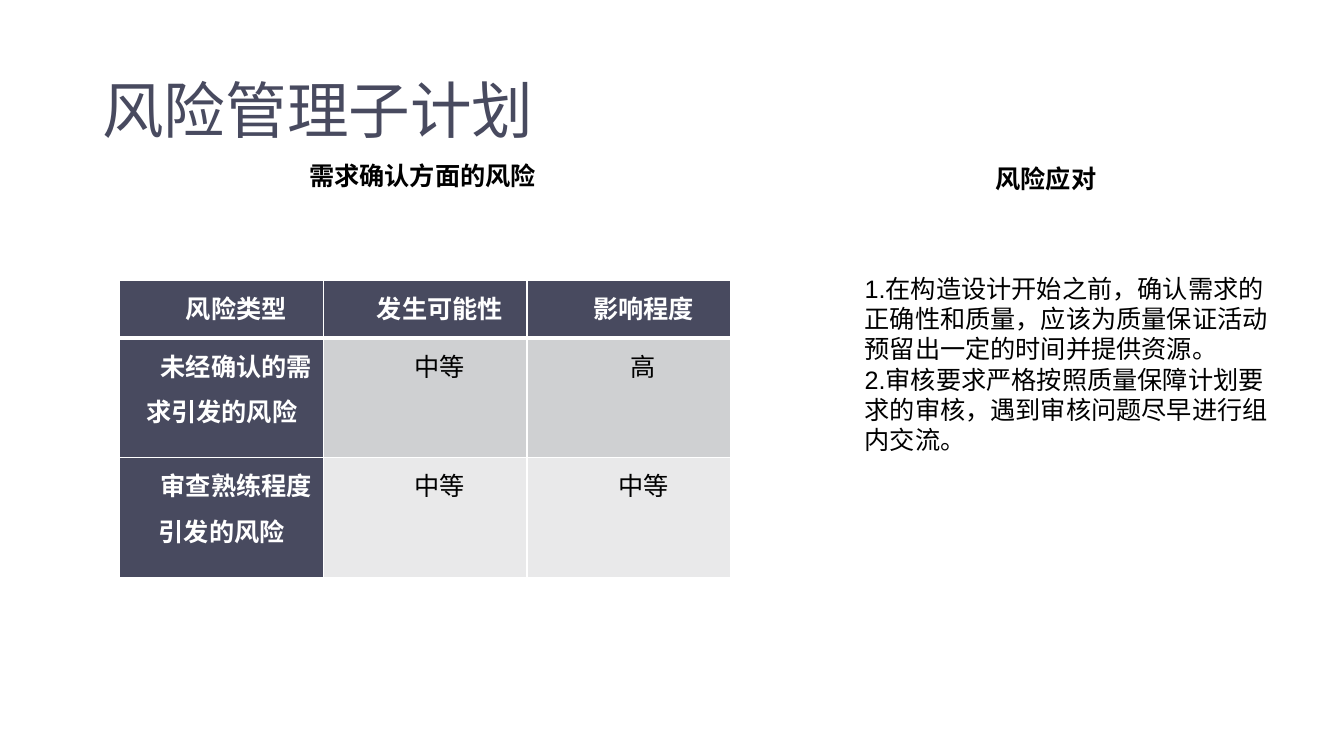
import lxml.etree
import pptx
import pptx.dml.color
import pptx.enum.text
import pptx.oxml.ns
import pptx.util

Cm = pptx.util.Cm
Pt = pptx.util.Pt
ALIGN = pptx.enum.text.PP_ALIGN
ANCHOR = pptx.enum.text.MSO_ANCHOR
FIT = pptx.enum.text.MSO_AUTO_SIZE

NAVY, WHITE, BLACK = "484A5F", "FFFFFF", "000000"
BANDS = ["CFD0D2", "E9E9EA"]
RISKS = [
    ["风险类型", "发生可能性", "影响程度"],
    ["未经确认的需求引发的风险", "中等", "高"],
    ["审查熟练程度引发的风险", "中等", "中等"],
]
STEPS = [
    "1.在构造设计开始之前，确认需求的正确性和质量，应该为质量保证活动预留出一定的时间并提供资源。",
    "2.审核要求严格按照质量保障计划要求的审核，遇到审核问题尽早进行组内交流。",
]


def color(code):
    """Turn a hex string into a colour."""
    return pptx.dml.color.RGBColor.from_string(code)


def style(para, size, code, bold=False):
    """Format every run of a paragraph."""
    for run in para.runs:
        run.font.name = "Arial"
        run.font.size = Pt(size)
        run.font.bold = bold
        run.font.color.rgb = color(code)


def add_text(slide, box, lines, size=18, code=BLACK, bold=False, wrap=True):
    """Place lines of text in a box and return its frame."""
    frame = slide.shapes.add_textbox(*map(Cm, box)).text_frame
    frame.word_wrap = wrap
    frame.text = "\n".join(lines)
    for para in frame.paragraphs:
        style(para, size, code, bold)
    return frame


def add_title(slide, box):
    """Place the slide title."""
    frame = add_text(slide, box, ["风险管理子计划"], 44, NAVY)
    frame.vertical_anchor = ANCHOR.MIDDLE
    frame.paragraphs[0].line_spacing = 0.9


def set_edge(cell, side, width):
    """Draw one white border of a cell."""
    props = cell._tc.get_or_add_tcPr()
    line = lxml.etree.SubElement(
        props, pptx.oxml.ns.qn("a:ln" + side), w=str(Pt(width)))
    fill = lxml.etree.SubElement(line, pptx.oxml.ns.qn("a:solidFill"))
    lxml.etree.SubElement(fill, pptx.oxml.ns.qn("a:srgbClr"), val=WHITE)


def fill_cell(cell, text, row, col):
    """Write and format one cell of the risk table."""
    dark = row == 0 or col == 0
    cell.margin_left = cell.margin_right = Cm(0.19)
    cell.margin_top = cell.margin_bottom = 0
    for side in "LRTB":
        thick = (row, side) in [(0, "B"), (1, "T")]
        set_edge(cell, side, 3 if thick else 1)
    cell.fill.solid()
    cell.fill.fore_color.rgb = color(NAVY if dark else BANDS[row - 1])
    para = cell.text_frame.paragraphs[0]
    para.text = text
    para.alignment = ALIGN.CENTER
    para.line_spacing = 1.25
    para.space_after = Pt(6)
    props = para._p.get_or_add_pPr()
    props.set("marL", "0")
    props.set("indent", str(Cm(0.74)))
    style(para, 18, WHITE if dark else BLACK, dark)


def add_risks(slide, box):
    """Place the risk heading and its table."""
    left, top, width, height = box
    add_text(slide, (left + 4.52, top, 6.32, 1.02),
             ["需求确认方面的风险"], bold=True, wrap=False)
    head, gap = 1.45, 3.15
    tall = (height - gap - head) / 2
    table = slide.shapes.add_table(
        3, 3, Cm(left), Cm(top + gap), Cm(width), Cm(height - gap)).table
    for col in table.columns:
        col.width = Cm(width / 3)
    for row, size in zip(table.rows, [head, tall, tall]):
        row.height = Cm(size)
    for row, texts in enumerate(RISKS):
        for col, text in enumerate(texts):
            fill_cell(table.cell(row, col), text, row, col)


def add_steps(slide, box):
    """Place the response heading and its steps."""
    left, top, width, height = box
    add_text(slide, (left + 3.3, top, 3.1, 1.02),
             ["风险应对"], bold=True, wrap=False)
    gap = 2.77
    frame = add_text(slide, (left, top + gap, width, height - gap), STEPS)
    frame.auto_size = FIT.SHAPE_TO_FIT_TEXT


def main():
    """Build and save the slide."""
    deck = pptx.Presentation()
    deck.slide_width, deck.slide_height = Cm(33.87), Cm(19.05)
    slide = deck.slides.add_slide(deck.slide_layouts[6])
    add_title(slide, (2.33, 1.01, 29.21, 3.68))
    add_risks(slide, (3.02, 3.91, 15.39, 10.64))
    add_steps(slide, (21.54, 3.99, 11.15, 7.65))
    deck.save("out.pptx")


if __name__ == "__main__":
    main()
